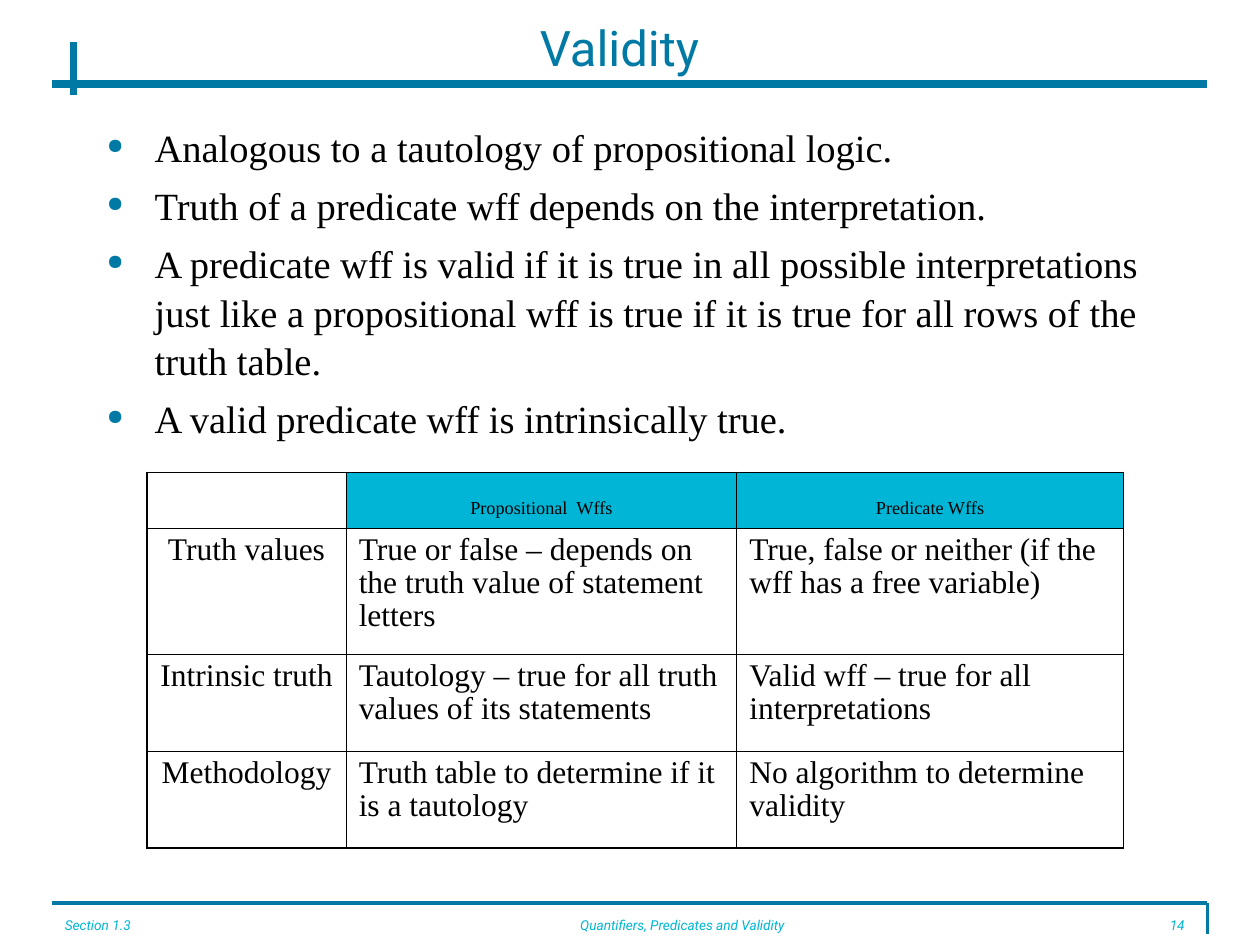
from lxml.etree import SubElement
from pptx import Presentation
from pptx.dml.color import RGBColor
from pptx.enum.shapes import MSO_CONNECTOR
from pptx.enum.text import MSO_ANCHOR, PP_ALIGN
from pptx.oxml.ns import qn
from pptx.util import Emu, Inches, Pt

COLORS = {"rule": "007AA5", "accent": "00B5D6", "ink": "000000"}
HEADING_FONT = "Roboto"
BODY_FONT = "Times New Roman"
UNIT = Inches(1) // 12

POINTS = [
    "Analogous to a tautology of propositional logic.",
    "Truth of a predicate wff depends on the interpretation.",
    "A predicate wff is valid if it is true in all possible interpretations "
    "just like a propositional wff is true if it is true for all rows of the truth table.",
    "A valid predicate wff is intrinsically true.",
]
COMPARISON = [
    ["", "Propositional  Wffs", "Predicate Wffs"],
    ["Truth values", "True or false – depends on the truth value of statement letters",
     "True, false or neither (if the wff has a free variable)"],
    ["Intrinsic truth", "Tautology – true for all truth values of its statements",
     "Valid wff – true for all interpretations"],
    ["Methodology", "Truth table to determine if it is a tautology",
     "No algorithm to determine validity"],
]
COLUMN_SHARES = [0.204, 0.4, 0.396]
ROW_HEIGHTS = [0.44, 1, 0.77, 0.77]
FOOTER = [
    ("Section 1.3", 0, 21, PP_ALIGN.LEFT),
    ("Quantifiers, Predicates and Validity", 35, 50, PP_ALIGN.CENTER),
    ("14", 100, 9, PP_ALIGN.RIGHT),
]


def grid(*cells):
    return [Emu(round(cell * UNIT)) for cell in cells]


def color(name):
    return RGBColor.from_string(COLORS[name])


def format_paragraph(paragraph, font, size, ink, align=PP_ALIGN.LEFT, italic=False):
    paragraph.alignment = align
    for run in paragraph.runs:
        run.font.name = font
        run.font.size = Pt(size)
        run.font.italic = italic
        run.font.color.rgb = color(ink)


def add_rule(slide, start, end, weight):
    rule = slide.shapes.add_connector(MSO_CONNECTOR.STRAIGHT, *grid(*start, *end))
    rule.line.color.rgb = color("rule")
    rule.line.width = Pt(weight)
    SubElement(rule._element.spPr, qn("a:effectLst"))


def add_heading(slide, left, top, width, height):
    right = left + width
    add_rule(slide, (left, top + 4), (right, top + 4), 4.5)
    add_rule(slide, (left + 2, top), (left + 2, top + height), 4.5)
    title = slide.shapes.title
    title.left, title.top, title.width, title.height = grid(left + 3, top - 2, 102, 5)
    title.text_frame.text = "Validity"
    title.text_frame.vertical_anchor = MSO_ANCHOR.MIDDLE
    format_paragraph(title.text_frame.paragraphs[0], HEADING_FONT, 28, "rule", PP_ALIGN.CENTER)


def add_bullet(paragraph):
    properties = paragraph._p.get_or_add_pPr()
    properties.set("marL", str(Inches(0.38)))
    properties.set("indent", str(-Inches(0.38)))
    bullet_color = SubElement(properties, qn("a:buClr"))
    SubElement(bullet_color, qn("a:srgbClr"), val=COLORS["rule"])
    SubElement(properties, qn("a:buSzPct"), val="55000")
    SubElement(properties, qn("a:buChar"), char="●")


def add_points(slide, left, top, width, height):
    frame = slide.shapes.add_textbox(*grid(left, top, width, height)).text_frame
    frame.word_wrap = True
    frame.text = "\n".join(POINTS)
    for paragraph in frame.paragraphs:
        paragraph.space_before = Pt(5.5)
        paragraph.line_spacing = 1.05
        format_paragraph(paragraph, BODY_FONT, 22, "ink")
        add_bullet(paragraph)


def set_borders(cell, outer_sides):
    properties = cell._tc.get_or_add_tcPr()
    for index, (side, is_outer) in enumerate(outer_sides.items()):
        border = properties.makeelement(qn(f"a:{side}"), {"w": str(Pt(1.08 if is_outer else 0.45))})
        fill = SubElement(border, qn("a:solidFill"))
        SubElement(fill, qn("a:srgbClr"), val=COLORS["ink"])
        properties.insert(index, border)


def add_comparison(slide, left, top, width):
    last_row, last_column = len(ROW_HEIGHTS) - 1, len(COLUMN_SHARES) - 1
    box = (*grid(left, top, width), Inches(sum(ROW_HEIGHTS)))
    table = slide.shapes.add_table(last_row + 1, last_column + 1, *box).table
    table.first_row = table.horz_banding = False
    for column, share in zip(table.columns, COLUMN_SHARES):
        column.width = Emu(round(share * box[2]))
    for row, height in zip(table.rows, ROW_HEIGHTS):
        row.height = Inches(height)
    for r, texts in enumerate(COMPARISON):
        for c, text in enumerate(texts):
            cell = table.cell(r, c)
            if r == 0 and c > 0:
                cell.fill.solid()
                cell.fill.fore_color.rgb = color("accent")
            else:
                cell.fill.background()
            set_borders(cell, {"lnL": c == 0, "lnR": c == last_column,
                               "lnT": r == 0, "lnB": r == last_row})
            if not text:
                continue
            cell.text_frame.text = text
            paragraph = cell.text_frame.paragraphs[0]
            paragraph.space_before = Pt(4.5)
            paragraph.line_spacing = 0.95
            align = PP_ALIGN.CENTER if r == 0 or c == 0 else PP_ALIGN.LEFT
            format_paragraph(paragraph, BODY_FONT, 18, "ink", align)
            if r == 0:
                paragraph.runs[0].font._element.set("baseline", "-25000")


def add_footer(slide, left, top, width, height):
    right = left + width
    add_rule(slide, (left, top), (right, top), 2.25)
    add_rule(slide, (right, top), (right, top + height), 2.25)
    for text, offset, span, align in FOOTER:
        frame = slide.shapes.add_textbox(*grid(left + offset, top + 1, span, 3)).text_frame
        frame.word_wrap = True
        frame.text = text
        frame.paragraphs[0].line_spacing = 0.8
        format_paragraph(frame.paragraphs[0], HEADING_FONT, 7.8, "accent", align, italic=True)


def main():
    presentation = Presentation()
    presentation.slide_width, presentation.slide_height = grid(120, 90)
    slide = presentation.slides.add_slide(presentation.slide_layouts[5])
    add_footer(slide, 5, 86, 110, 3)
    add_heading(slide, 5, 4, 110, 5)
    add_points(slide, 9, 11, 102, 72)
    add_comparison(slide, 14, 45, 93)
    presentation.save("out.pptx")


if __name__ == "__main__":
    main()
